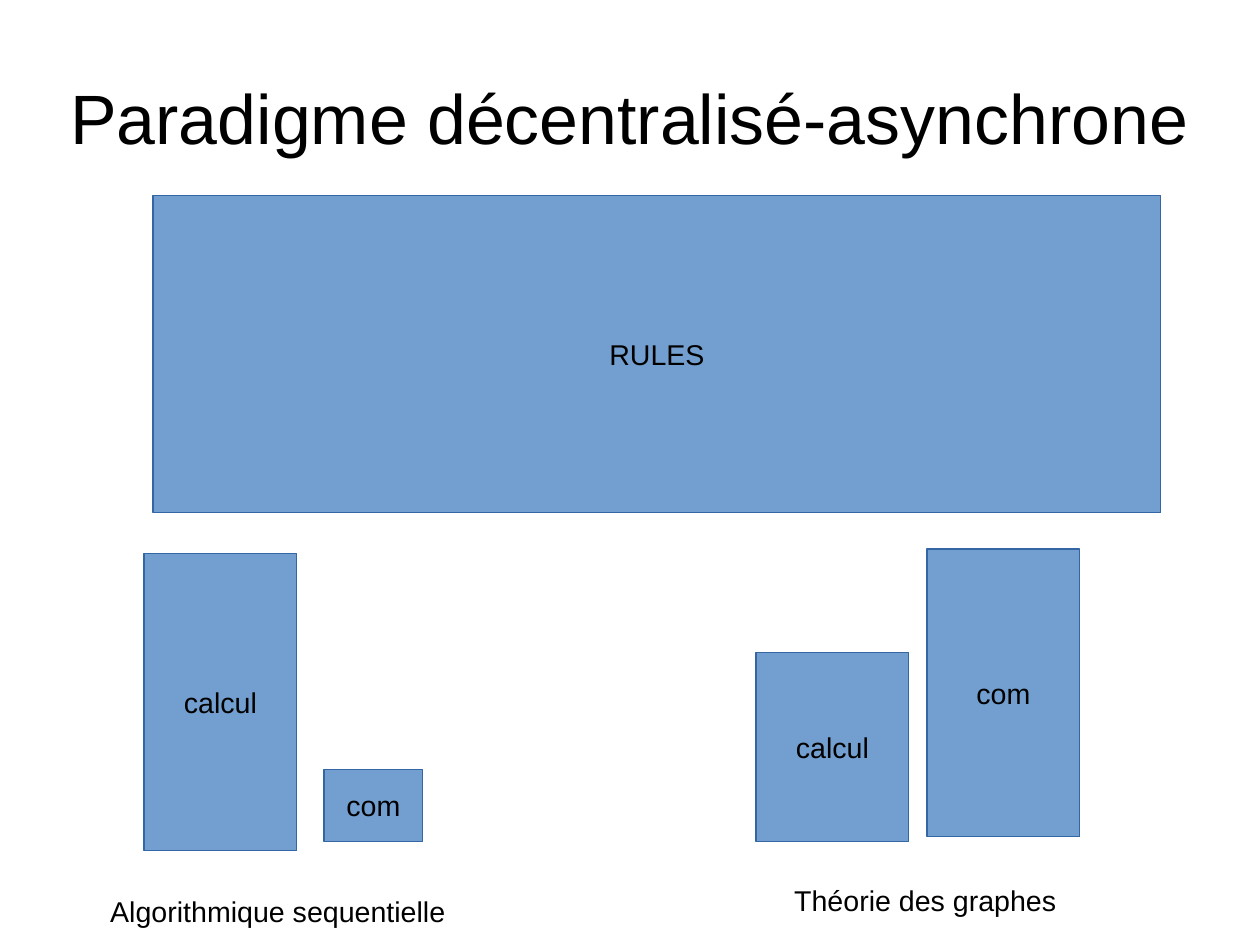
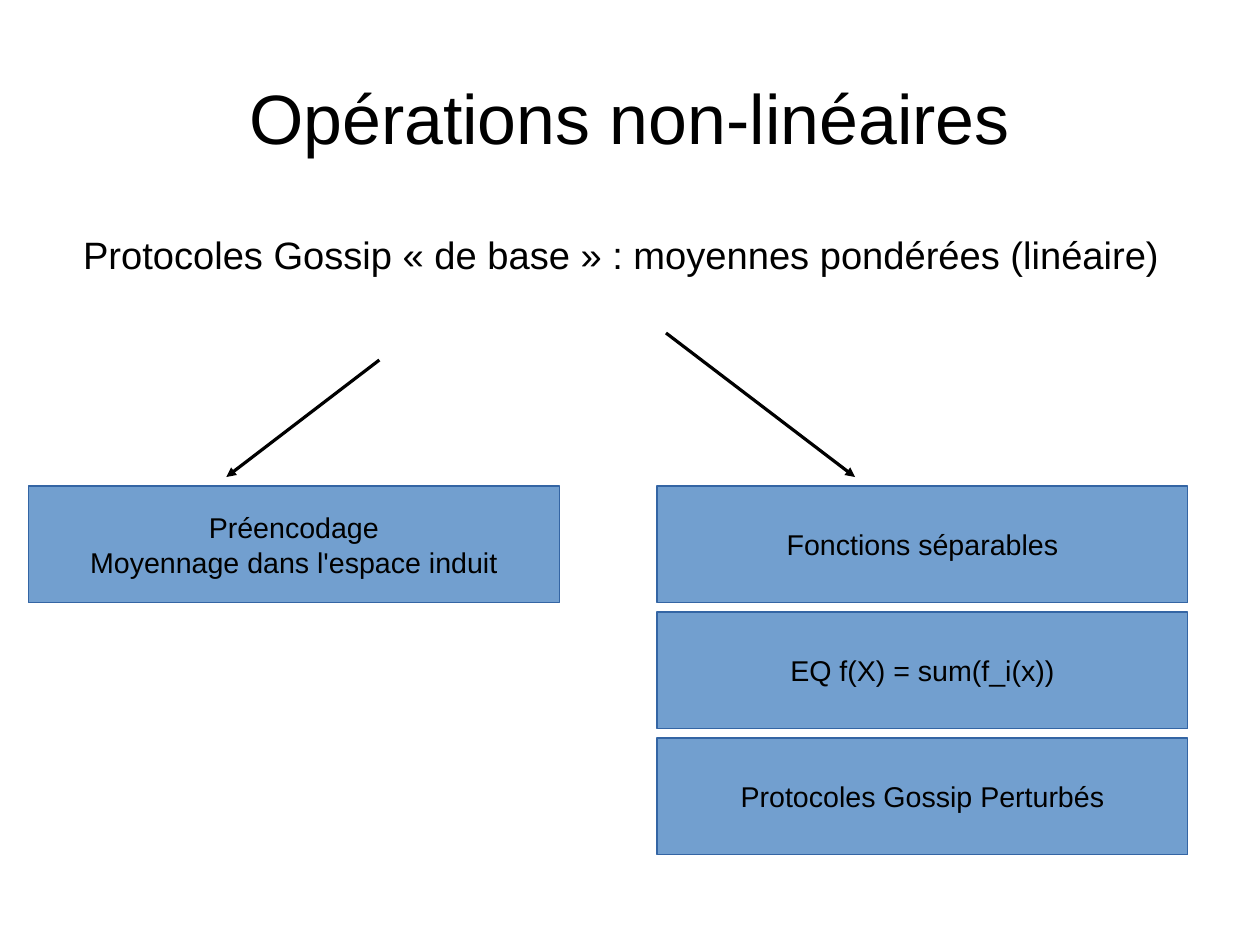
from lxml import etree
from pptx import Presentation
from pptx import util as u
from pptx.dml.color import RGBColor
from pptx.enum import shapes, text
from pptx.oxml.ns import qn

COLORS = {"text": "000000", "fill": "729FCF", "edge": "3465A4", "arrow": "000000"}
FONT = "Arial"
COLS, ROWS = 280, 210
TITLE_AREA = (14, 8.4, 252, 35)


def rgb(name):
    return RGBColor.from_string(COLORS[name])


class Deck:
    """Holds the style and the current slide; lengths are grid columns and rows."""

    def __init__(self):
        self.prs = Presentation()
        self.prs.slide_width, self.prs.slide_height = u.Cm(28), u.Cm(21)
        self.s = None

    def grid(self, *lengths):
        """Turn alternating column and row counts into slide lengths."""
        units = (self.prs.slide_width / COLS, self.prs.slide_height / ROWS)
        return [u.Emu(round(n * units[i % 2])) for i, n in enumerate(lengths)]

    def slide(self, title):
        self.s = self.prs.slides.add_slide(self.prs.slide_layouts[6])
        self.heading(title, TITLE_AREA)

    def fill_text(self, tf, words, size=18, align=text.PP_ALIGN.CENTER):
        tf.text = words
        for p in tf.paragraphs:
            p.alignment = align
            p.font.name, p.font.size = FONT, u.Pt(size)
            p.font.color.rgb = rgb("text")

    def heading(self, words, area, size=44):
        tf = self.s.shapes.add_textbox(*self.grid(*area)).text_frame
        tf.margin_left = tf.margin_right = tf.margin_top = tf.margin_bottom = 0
        tf.word_wrap = True
        tf.vertical_anchor = text.MSO_ANCHOR.MIDDLE
        self.fill_text(tf, words, size)

    def caption(self, words, area):
        tf = self.s.shapes.add_textbox(*self.grid(*area)).text_frame
        tf.word_wrap = False
        tf.auto_size = text.MSO_AUTO_SIZE.SHAPE_TO_FIT_TEXT
        self.fill_text(tf, words, align=text.PP_ALIGN.LEFT)

    def box(self, words, area):
        sp = self.s.shapes.add_shape(shapes.MSO_SHAPE.RECTANGLE, *self.grid(*area))
        sp.shadow.inherit = False
        sp.fill.solid()
        sp.fill.fore_color.rgb = rgb("fill")
        sp.line.color.rgb = rgb("edge")
        sp.line.width = 0
        tf = sp.text_frame
        tf.word_wrap = False
        tf.vertical_anchor = text.MSO_ANCHOR.MIDDLE
        self.fill_text(tf, words)

    def arrow(self, start, end):
        cx = self.s.shapes.add_connector(
            shapes.MSO_CONNECTOR.STRAIGHT, *self.grid(*start, *end))
        cx.line.color.rgb = rgb("arrow")
        cx.line.width = 0
        props = cx.element.spPr
        etree.SubElement(props.get_or_add_ln(), qn("a:tailEnd"), type="triangle")
        etree.SubElement(props, qn("a:effectLst"))


def paradigm(deck):
    deck.slide("Paradigme décentralisé-asynchrone")
    bar = 34
    deck.box("calcul", (32, 123, bar, 66))
    deck.box("com", (72, 171, 22, 16))
    deck.box("calcul", (168, 145, bar, 42))
    deck.box("com", (206, 122, bar, 64))
    deck.caption("Algorithmique sequentielle", (22, 197.4, 79.5, 9.7))
    deck.caption("Théorie des graphes", (174, 195, 63.3, 9.7))
    deck.box("RULES", (34, 43.4, 224, 70.6))


def operations(deck):
    deck.slide("Opérations non-linéaires")
    deck.heading("Protocoles Gossip « de base » : moyennes pondérées (linéaire)",
                 (12, 39, 252, 35), size=24)
    left, right, top, width, height, step = 6.3, 146, 108, 118, 26, 28
    deck.arrow((84.3, 80), (50.3, 106))
    deck.box("Préencodage\nMoyennage dans l'espace induit", (left, top, width, height))
    deck.arrow((148, 74), (190, 106))
    stack = ("Fonctions séparables", "EQ f(X) = sum(f_i(x))", "Protocoles Gossip Perturbés")
    for i, words in enumerate(stack):
        deck.box(words, (right, top + i * step, width, height))


def main():
    deck = Deck()
    paradigm(deck)
    operations(deck)
    deck.prs.save("out.pptx")


if __name__ == "__main__":
    main()
